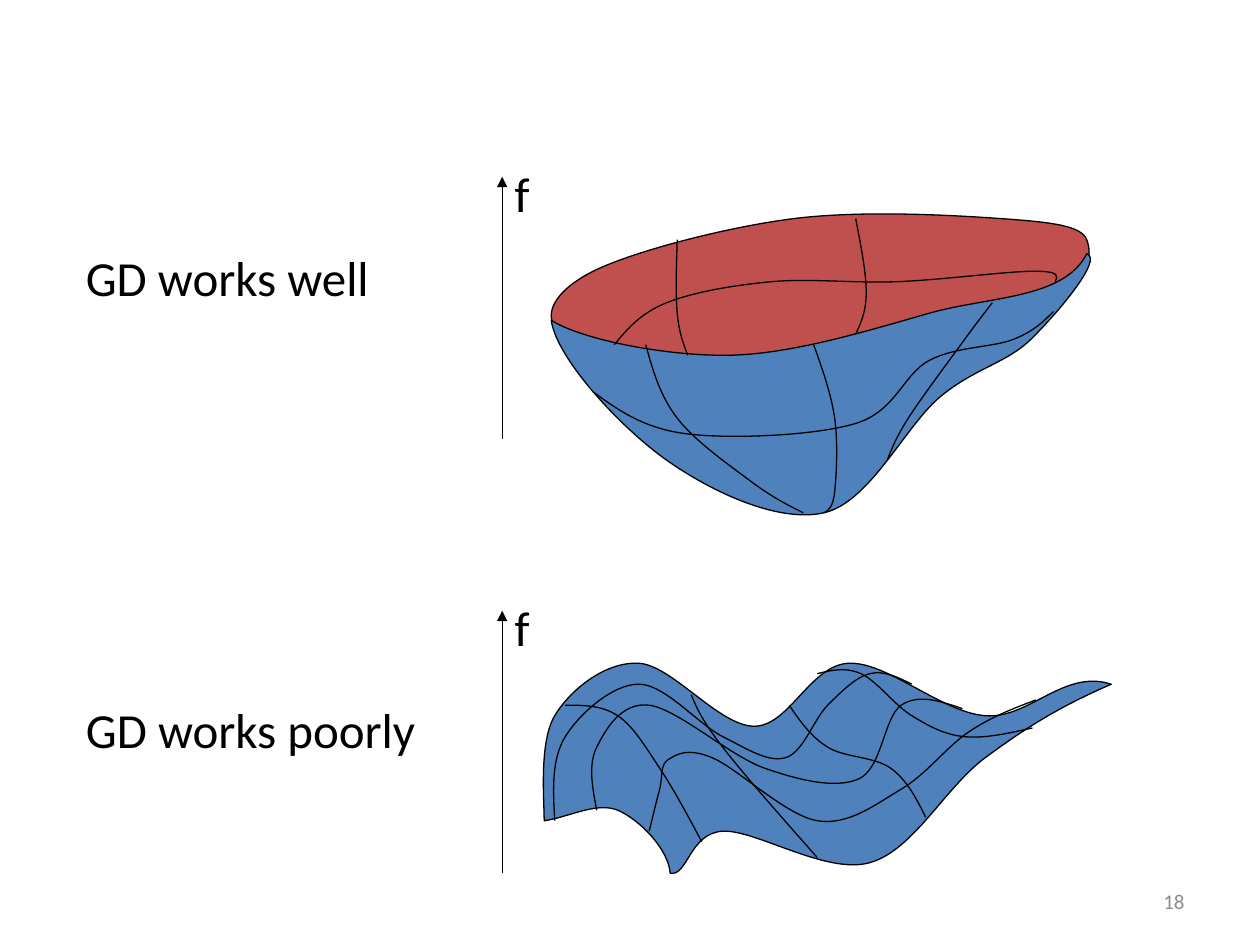
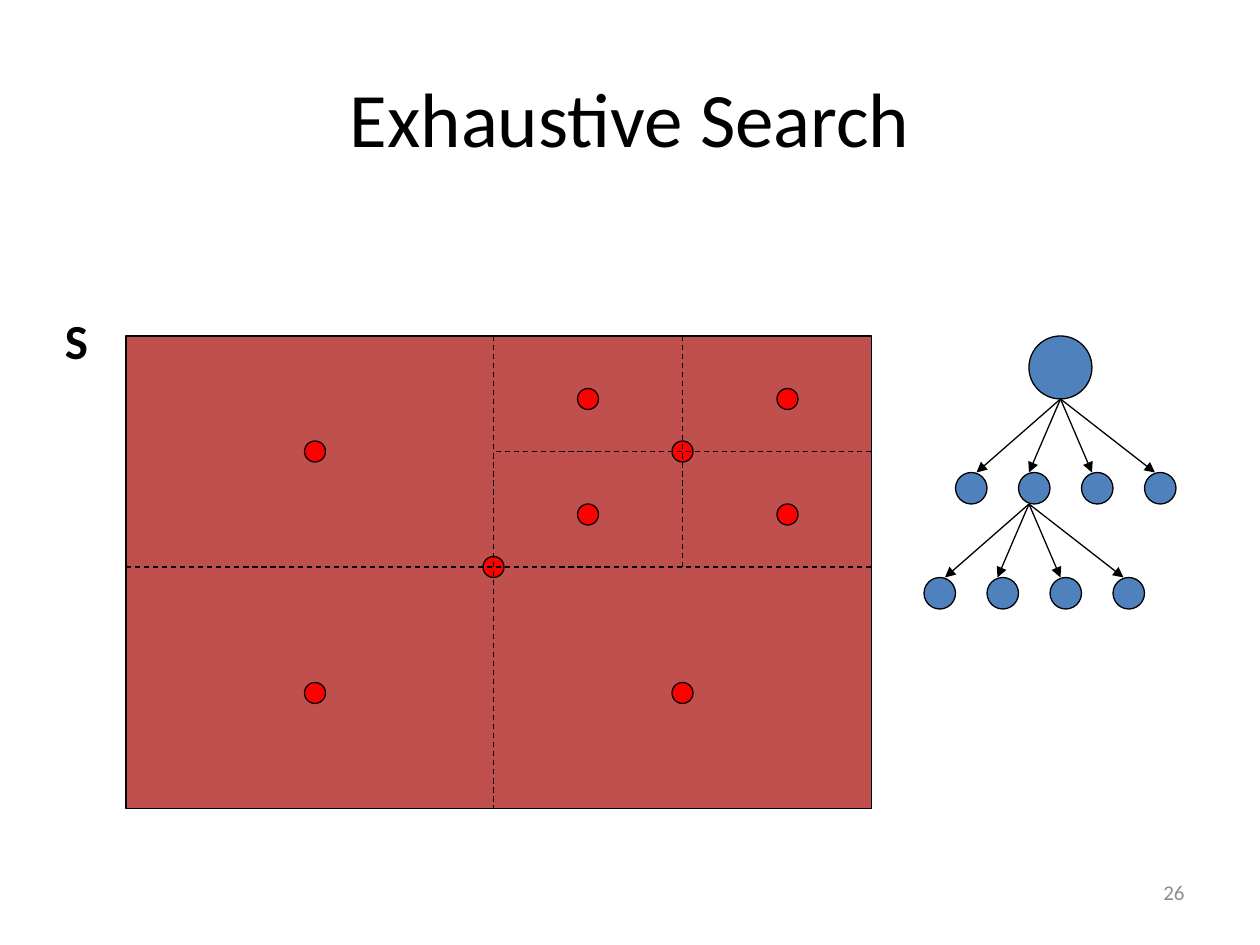
from itertools import product

from lxml.etree import SubElement
from pptx import Presentation
from pptx.dml.color import RGBColor
from pptx.enum.dml import MSO_LINE
from pptx.enum.shapes import MSO_CONNECTOR, MSO_SHAPE
from pptx.enum.text import MSO_ANCHOR, PP_ALIGN
from pptx.oxml.ns import qn
from pptx.util import Pt

STRAIGHT = MSO_CONNECTOR.STRAIGHT
RECT, OVAL = MSO_SHAPE.RECTANGLE, MSO_SHAPE.OVAL
DASH = MSO_LINE.DASH
TOP, MIDDLE = MSO_ANCHOR.TOP, MSO_ANCHOR.MIDDLE
LEFT, CENTER, RIGHT = PP_ALIGN.LEFT, PP_ALIGN.CENTER, PP_ALIGN.RIGHT


class Theme:
    font = "Calibri"
    black, gray = RGBColor(0, 0, 0), RGBColor(0x8C, 0x8C, 0x8C)
    blue, brick = RGBColor(0x4F, 0x81, 0xBD), RGBColor(0xC0, 0x50, 0x4D)
    red = RGBColor(0xFF, 0, 0)
    title, label, page = 44, 28, 12
    line = 0.75


TITLE = "Exhaustive Search"
LABELS = [
    ("f", (287, 338, 54, 41)),
    ("f", (287, 90, 54, 41)),
    ("GD works well", (42, 138, 216, 41)),
    ("GD works poorly", (42, 396, 228, 41)),
]
AXES = [((287, 499), (287, 349)), ((287, 251), (287, 101))]

# Each edge: anchors, first control, last control.
WAVE = [
    ([(311, 469), (317, 409), (365, 379), (431, 415), (485, 379),
      (563, 409), (635, 391)], (311, 457), (608, 382)),
    ([(635, 391), (563, 433), (497, 493), (413, 475), (383, 499)],
     (605, 404), (393, 501)),
    ([(383, 499), (353, 463), (311, 469)], (382, 485), (325, 467)),
]
FOLDS = [
    [(317, 469), (323, 421), (365, 391), (413, 421), (449, 433),
     (473, 403), (497, 385), (521, 391)],
    [(341, 463), (341, 427), (371, 403), (437, 439), (491, 445),
     (515, 403), (550, 405)],
    [(371, 475), (377, 451), (382, 434), (407, 433), (467, 469),
     (515, 451), (554, 418), (592, 400)],
    [(323, 403), (353, 409), (377, 439), (401, 481)],
    [(395, 397), (413, 427), (467, 490)],
    [(451, 403), (473, 427), (509, 439), (529, 467)],
    [(467, 385), (492, 385), (521, 409), (551, 421), (590, 416)],
]
RIM = [([(321, 191), (339, 155), (453, 125), (573, 125), (621, 137),
         (591, 173), (417, 215), (321, 191)], (308, 181), (334, 201))]
BOWL = [
    ([(315, 183), (381, 263), (471, 293), (537, 227), (589, 194),
      (621, 145)], (318, 205), (631, 148)),
    ([(621, 145), (531, 179), (417, 203), (315, 183)],
     (608, 171), (332, 194)),
]
RIBS = [
    [(369, 197), (387, 239), (429, 275), (459, 293)],
    [(465, 197), (477, 239), (477, 281), (471, 293)],
    [(567, 173), (549, 197), (519, 239), (507, 263)],
    [(339, 224), (393, 248), (489, 242), (531, 206), (579, 194), (602, 178)],
    [(387, 137), (387, 179), (393, 203)],
    [(489, 125), (495, 167), (489, 191)],
    [(351, 197), (381, 173), (441, 161), (513, 161), (591, 155), (603, 161)],
]
SURFACES = [(WAVE, Theme.blue, FOLDS), (RIM, Theme.brick, []),
            (BOWL, Theme.blue, RIBS)]

SPACE = (72, 192, 426, 270)
DOTS = [(282, 324), *product((180, 390), (258, 396)),
        *product((336, 450), (228, 294))]
CUTS = [((72, 324), (498, 324)), ((282, 192), (282, 462)),
        ((390, 192), (390, 324)), ((498, 258), (282, 258))]
ROOT = (606, 210)
FORKS = [(606, 228), (588, 288)]
TIPS, TIP_DROP = (-48, -18, 18, 54), 42
NODES, NODE_DROP = (-51, -15, 21, 57), 51


def mid(a, b):
    return (a[0] + b[0]) / 2, (a[1] + b[1]) / 2


def trace(knots, first=None, last=None):
    ins, outs = [None], [first]
    for (px, py), (x, y), (nx, ny) in zip(knots, knots[1:], knots[2:]):
        dx, dy = (nx - px) / 6, (ny - py) / 6
        ins.append((x - dx, y - dy))
        outs.append((x + dx, y + dy))
    ins.append(last or mid(knots[-1], outs[-1]))
    outs[0] = first or mid(knots[0], ins[1])
    return [dot for trio in zip(outs, ins[1:], knots[1:]) for dot in trio]


def paint(shape, fill=None):
    shape.shadow.inherit = False
    if fill is None:
        shape.fill.background()
    else:
        shape.fill.solid()
        shape.fill.fore_color.rgb = fill
    shape.line.color.rgb = Theme.black
    shape.line.width = Pt(Theme.line)


def bend(shape):
    legs = list(shape._element.iter(qn("a:lnTo")))
    for curve, *tail in zip(legs[::3], legs[1::3], legs[2::3]):
        curve.tag = qn("a:cubicBezTo")
        for leg in tail:
            curve.append(leg[0])
            leg.getparent().remove(leg)


def draw_curve(slide, edges, fill=None):
    x, y = edges[0][0][0]
    dots = [(Pt(a), Pt(b)) for edge in edges for a, b in trace(*edge)]
    pen = slide.shapes.build_freeform(Pt(x), Pt(y))
    pen.add_line_segments(dots, close=fill is not None)
    shape = pen.convert_to_shape()
    bend(shape)
    paint(shape, fill)


def draw_oval(slide, spot, size, fill):
    box = [Pt(v - size / 2) for v in spot] + [Pt(size)] * 2
    paint(slide.shapes.add_shape(OVAL, *box), fill)


def draw_line(slide, start, end, arrow=False, dash=None):
    link = slide.shapes.add_connector(STRAIGHT, *map(Pt, start + end))
    link.line.color.rgb = Theme.black
    link.line.width = Pt(Theme.line)
    if dash:
        link.line.dash_style = dash
    props = link._element.spPr
    if arrow:
        SubElement(props.find(qn("a:ln")), qn("a:tailEnd"), type="triangle")
    SubElement(props, qn("a:effectLst"))


def style(shape, text, size, color=Theme.black, align=LEFT, anchor=TOP,
          bold=False):
    frame = shape.text_frame
    frame.text = text
    frame.word_wrap = True
    frame.vertical_anchor = anchor
    para = frame.paragraphs[0]
    para.alignment = align
    font = para.runs[0].font
    font.name, font.size, font.bold = Theme.font, Pt(size), bold
    font.color.rgb = color


def add_text(slide, text, box, size=Theme.label, **look):
    style(slide.shapes.add_textbox(*map(Pt, box)), text, size, **look)


def add_page(slide, number, top, height):
    add_text(slide, number, (516, top, 168, height), Theme.page,
             color=Theme.gray, align=RIGHT, anchor=MIDDLE)


def build_descent(deck):
    slide = deck.slides.add_slide(deck.slide_layouts[6])
    for edges, fill, mesh in SURFACES:
        draw_curve(slide, edges, fill)
        for knots in mesh:
            draw_curve(slide, [(knots,)])
    for start, end in AXES:
        draw_line(slide, start, end, arrow=True)
    for text, box in LABELS:
        add_text(slide, text, box)
    add_page(slide, "18", 500.5, 29)


def build_search(deck):
    slide = deck.slides.add_slide(deck.slide_layouts[5])
    title = slide.shapes.title
    title.left, title.top, title.width, title.height = map(Pt, (36, 21.6, 648, 90))
    style(title, TITLE, Theme.title, align=CENTER, anchor=MIDDLE)
    paint(slide.shapes.add_shape(RECT, *map(Pt, SPACE)), Theme.brick)
    add_text(slide, "S", (30, 174, 42, 41), bold=True)
    for spot in DOTS:
        draw_oval(slide, spot, 12, Theme.red)
    for start, end in CUTS:
        draw_line(slide, start, end, dash=DASH)
    draw_oval(slide, ROOT, 36, Theme.blue)
    for x, y in FORKS:
        for node in NODES:
            draw_oval(slide, (x + node, y + NODE_DROP), 18, Theme.blue)
        for tip in TIPS:
            draw_line(slide, (x, y), (x + tip, y + TIP_DROP), arrow=True)
    add_page(slide, "26", 492, 36)


def main():
    deck = Presentation()
    deck.slide_width, deck.slide_height = Pt(720), Pt(540)
    build_descent(deck)
    build_search(deck)
    deck.save("out.pptx")


if __name__ == "__main__":
    main()
